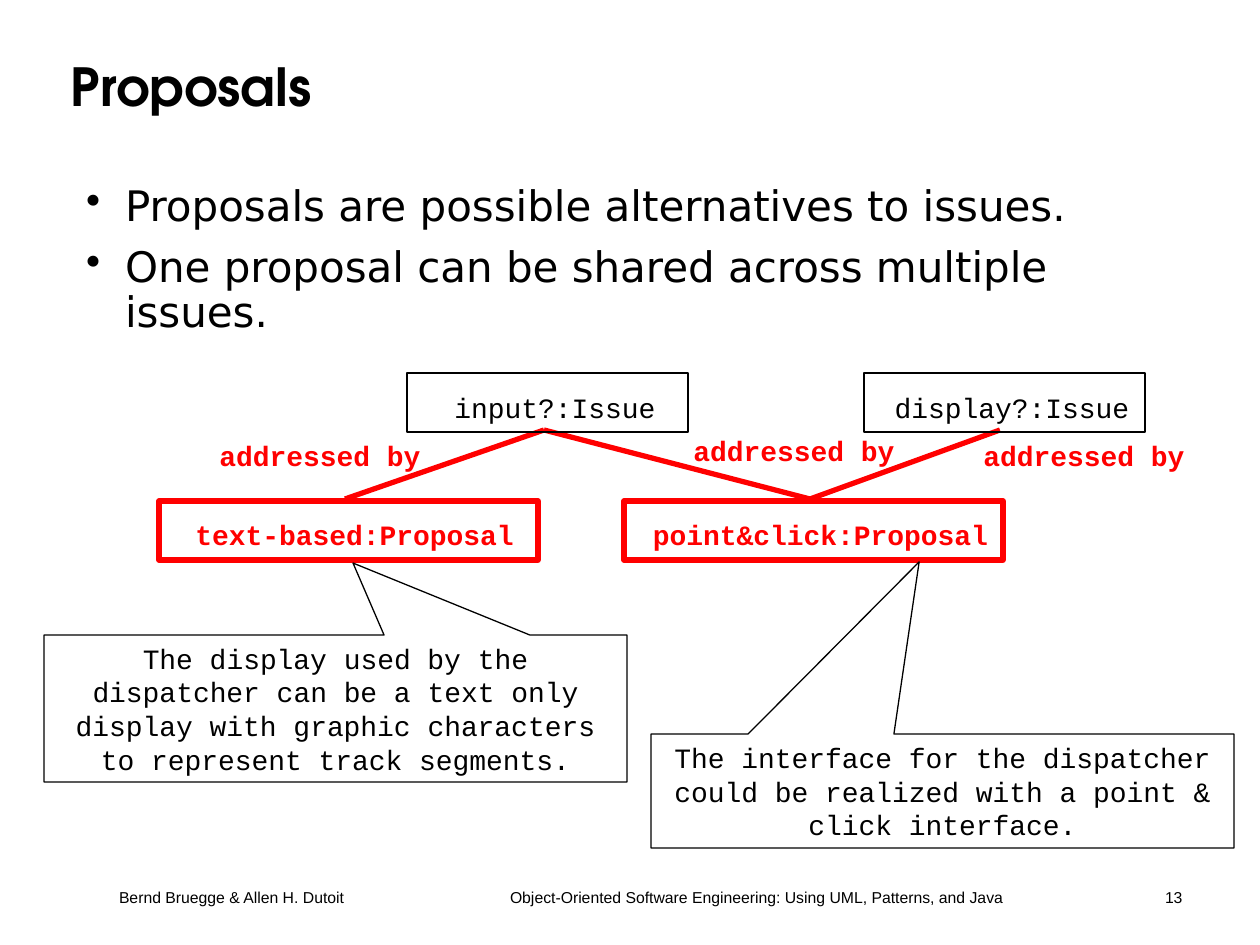
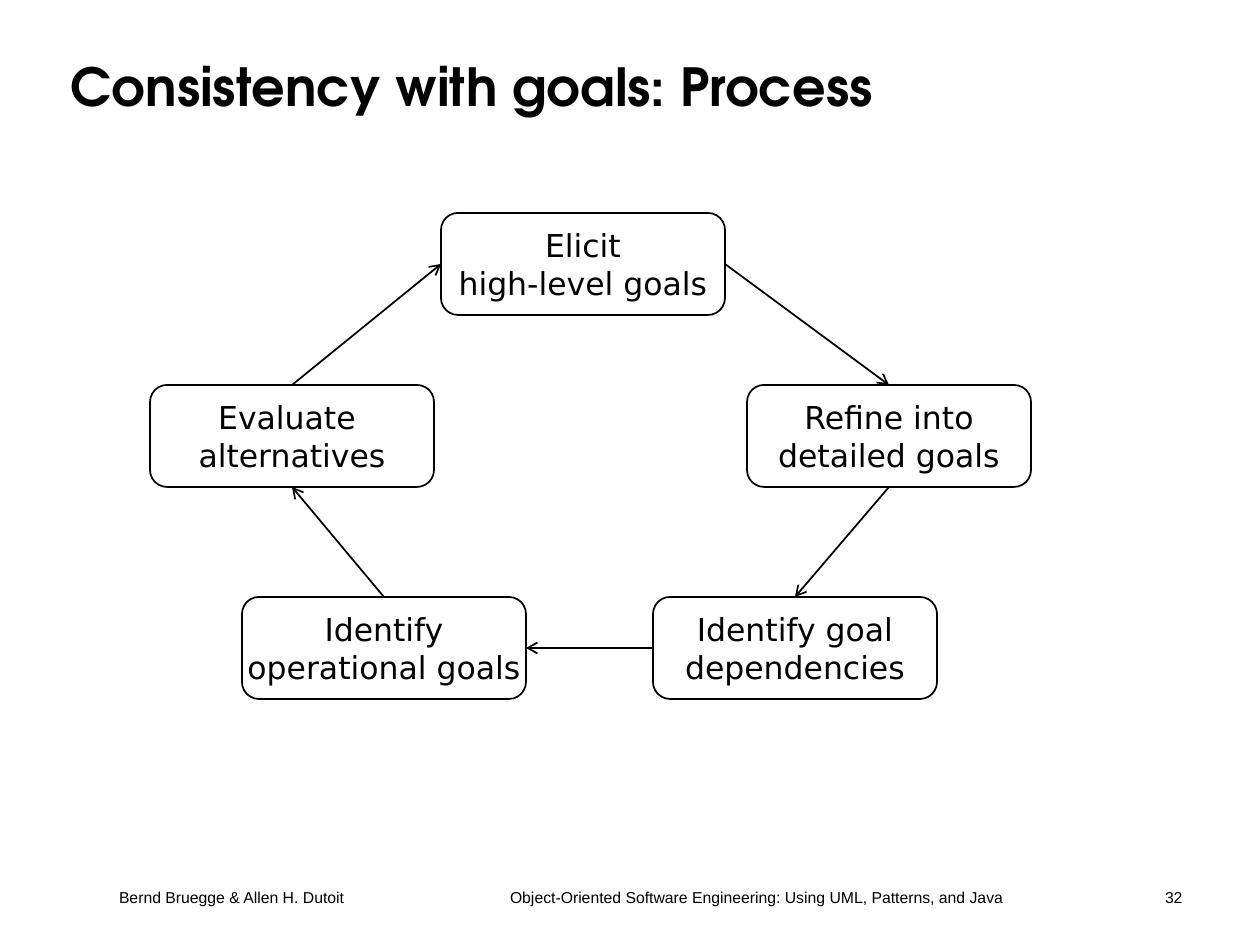
from lxml.etree import SubElement
from pptx import Presentation
from pptx.dml.color import RGBColor
from pptx.enum.shapes import MSO_CONNECTOR, MSO_SHAPE
from pptx.enum.text import MSO_ANCHOR, MSO_AUTO_SIZE, PP_ALIGN
from pptx.oxml.ns import qn
from pptx.util import Emu, Pt

BLACK, WHITE, RED = "000000", "FFFFFF", "FF0000"
TITLE_FONT, BODY_FONT = "TeX Gyre Adventor", "DejaVu Sans"
CODE_FONT, FOOTER_FONT = "Courier New", "Arial"
INSETS = (13, 6, 13, 6)
TOP, LEFT, BOTTOM, RIGHT = range(4)
AUTHORS = "Bernd Bruegge & Allen H. Dutoit"
BOOK = "Object-Oriented Software Engineering: Using UML, Patterns, and Java"


def px(n):
    """Turn pixels into EMU."""
    return Emu(round(n * 914400 / 126))


def rgb(colour):
    """Turn a hex string into a colour."""
    return RGBColor.from_string(colour)


def place(sp, box):
    """Move a shape to left, top, width and height."""
    sp.left, sp.top, sp.width, sp.height = map(px, box)


def write(sp, text, font, size, colour=BLACK, bold=False, align=PP_ALIGN.CENTER,
          anchor=MSO_ANCHOR.MIDDLE, insets=INSETS, wrap=True):
    """Fill a shape with text in one style."""
    tf = sp.text_frame
    tf.text = text
    tf.word_wrap = wrap
    tf.auto_size = MSO_AUTO_SIZE.NONE
    tf.vertical_anchor = anchor
    tf.margin_left, tf.margin_top, tf.margin_right, tf.margin_bottom = map(px, insets)
    for p in tf.paragraphs:
        p.alignment = align
        for r in p.runs:
            r.font.name, r.font.size, r.font.bold = font, Pt(size), bold
            r.font.color.rgb = rgb(colour)
    return tf


def add_text(s, box, text, font, size, **style):
    """Add a text box."""
    return write(s.shapes.add_textbox(*map(px, box)), text, font, size, **style)


def add_label(s, box, text, colour=BLACK):
    """Add a one-line label in the code font, bold when coloured."""
    add_text(s, box, text, CODE_FONT, 16, colour=colour, bold=colour != BLACK,
             anchor=MSO_ANCHOR.TOP, insets=(0, 0, 0, 0), wrap=False)


def add_box(s, kind, box, colour, width, fill=None):
    """Add an outlined preset shape."""
    sp = s.shapes.add_shape(kind, *map(px, box))
    sp.shadow.inherit = False
    sp.line.color.rgb, sp.line.width = rgb(colour), Pt(width)
    if fill:
        sp.fill.solid()
        sp.fill.fore_color.rgb = rgb(fill)
    else:
        sp.fill.background()
    return sp


def add_line(s, start, end, colour, width):
    """Add a straight line between two points."""
    cxn = s.shapes.add_connector(MSO_CONNECTOR.STRAIGHT, *map(px, start + end))
    cxn.line.color.rgb, cxn.line.width = rgb(colour), Pt(width)
    SubElement(cxn._element.spPr, qn("a:effectLst"))
    return cxn


def add_arrow(s, source, source_side, target, target_side):
    """Connect two shapes with an open arrow."""
    cxn = add_line(s, (0, 0), (0, 0), BLACK, 1)
    cxn.begin_connect(source, source_side)
    cxn.end_connect(target, target_side)
    SubElement(cxn.line._get_or_add_ln(), qn("a:tailEnd"), type="arrow")


def add_callout(s, box, tip, text):
    """Add a speech callout whose tip is given as fractions of its size."""
    sp = add_box(s, MSO_SHAPE.RECTANGULAR_CALLOUT, box, BLACK, 0.75, WHITE)
    sp.adjustments[0], sp.adjustments[1] = tip
    write(sp, text, CODE_FONT, 16)


def add_bullets(s, box, items):
    """Add a bulleted list."""
    tf = add_text(s, box, "\n".join(items), BODY_FONT, 24, align=PP_ALIGN.LEFT,
                  anchor=MSO_ANCHOR.TOP)
    for i, p in enumerate(tf.paragraphs):
        pPr = p._p.get_or_add_pPr()
        pPr.set("marL", str(px(39)))
        pPr.set("indent", str(px(-39)))
        SubElement(pPr, qn("a:buChar"), char="•")
        p.line_spacing = 0.9
        p.space_before = Pt(9 if i else 0)


def add_footer(s, number):
    """Add authors, book title and slide number on tab stops."""
    tf = add_text(s, (73, 882, 1156, 32), f"{AUTHORS}\t{BOOK}\t{number}", FOOTER_FONT, 9,
                  align=PP_ALIGN.LEFT, anchor=MSO_ANCHOR.TOP, insets=(46, 6, 13, 6))
    tabs = SubElement(tf.paragraphs[0]._p.get_or_add_pPr(), qn("a:tabLst"))
    for stop in (391, 1046):
        SubElement(tabs, qn("a:tab"), pos=str(px(stop)), algn="l")


def add_slide(prs, title, number):
    """Add a slide with its title and footer."""
    s = prs.slides.add_slide(prs.slide_layouts[5])
    place(s.shapes.title, (58, 30, 1124, 118))
    tf = write(s.shapes.title, title, TITLE_FONT, 30, bold=True, align=PP_ALIGN.LEFT)
    tf.paragraphs[0].line_spacing = 0.9
    add_footer(s, number)
    return s


def proposals(prs):
    """Build the slide on issues and their proposals."""
    s = add_slide(prs, "Proposals", 13)
    add_bullets(s, (73, 179, 1103, 137), (
        "Proposals are possible alternatives to issues.",
        "One proposal can be shared across multiple issues."))
    input_issue, display_issue = (544, 430), (1000, 430)
    text_based, point_click = (345, 499), (810, 499)
    for issue, proposal in ((input_issue, text_based), (input_issue, point_click),
                            (display_issue, point_click)):
        add_line(s, issue, proposal, RED, 3)
    for left, label_left, label_width, text in (
            (407, 454, 202, "input?:Issue"), (864, 895, 234, "display?:Issue")):
        add_box(s, MSO_SHAPE.RECTANGLE, (left, 373, 281, 59), BLACK, 1.5)
        add_label(s, (label_left, 391, label_width, 34), text)
    for left, label_left, label_width, text in (
            (159, 195, 319, "text-based:Proposal"), (624, 653, 335, "point&click:Proposal")):
        add_box(s, MSO_SHAPE.RECTANGLE, (left, 501, 379, 59), RED, 3)
        add_label(s, (label_left, 518, label_width, 34), text, RED)
    for left, top in ((219, 439), (693, 434), (983, 439)):
        add_label(s, (left, top, 202, 34), "addressed by", RED)
    add_callout(s, (651, 734, 583, 114), (-0.04, -2.01),
                "The interface for the dispatcher could be realized with "
                "a point & click interface.")
    add_callout(s, (44, 635, 583, 147), (0.03, -0.99),
                "The display used by the dispatcher can be a text only display "
                "with graphic characters to represent track segments.")


def goal_process(prs):
    """Build the slide on the cycle of goal steps."""
    s = add_slide(prs, "Consistency with goals: Process", 32)
    steps = []
    for left, top, text in (
            (441, 213, "Elicit\nhigh-level goals"),
            (747, 385, "Refine into\ndetailed goals"),
            (653, 597, "Identify goal\ndependencies"),
            (242, 597, "Identify\noperational goals"),
            (150, 385, "Evaluate \nalternatives")):
        sp = add_box(s, MSO_SHAPE.ROUNDED_RECTANGLE, (left, top, 284, 102), BLACK, 1, WHITE)
        write(sp, text, BODY_FONT, 18, wrap=False)
        steps.append(sp)
    sides = ((RIGHT, TOP), (BOTTOM, TOP), (LEFT, RIGHT), (TOP, BOTTOM), (TOP, LEFT))
    for source, target, (start, end) in zip(steps, steps[1:] + steps[:1], sides):
        add_arrow(s, source, start, target, end)


def main():
    """Build and save the presentation."""
    prs = Presentation()
    prs.slide_width, prs.slide_height = px(1260), px(945)
    proposals(prs)
    goal_process(prs)
    prs.save("out.pptx")


if __name__ == "__main__":
    main()
